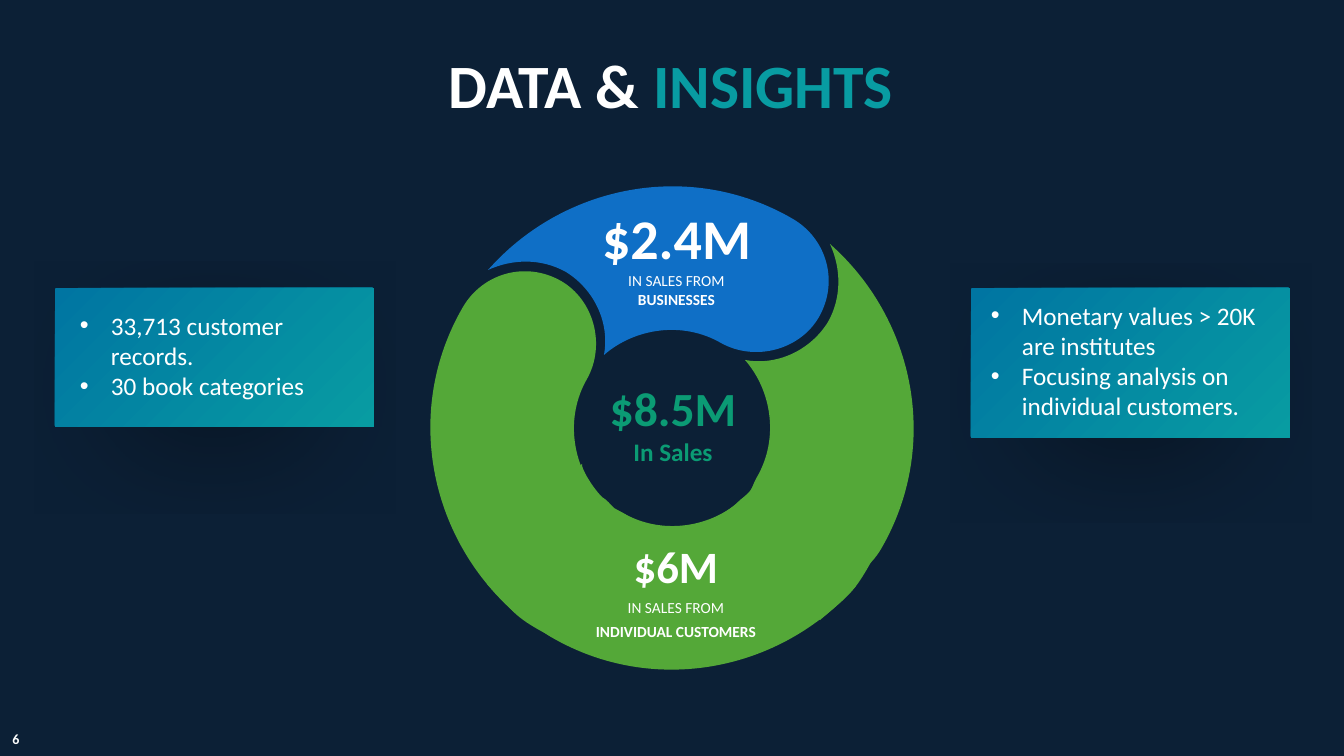
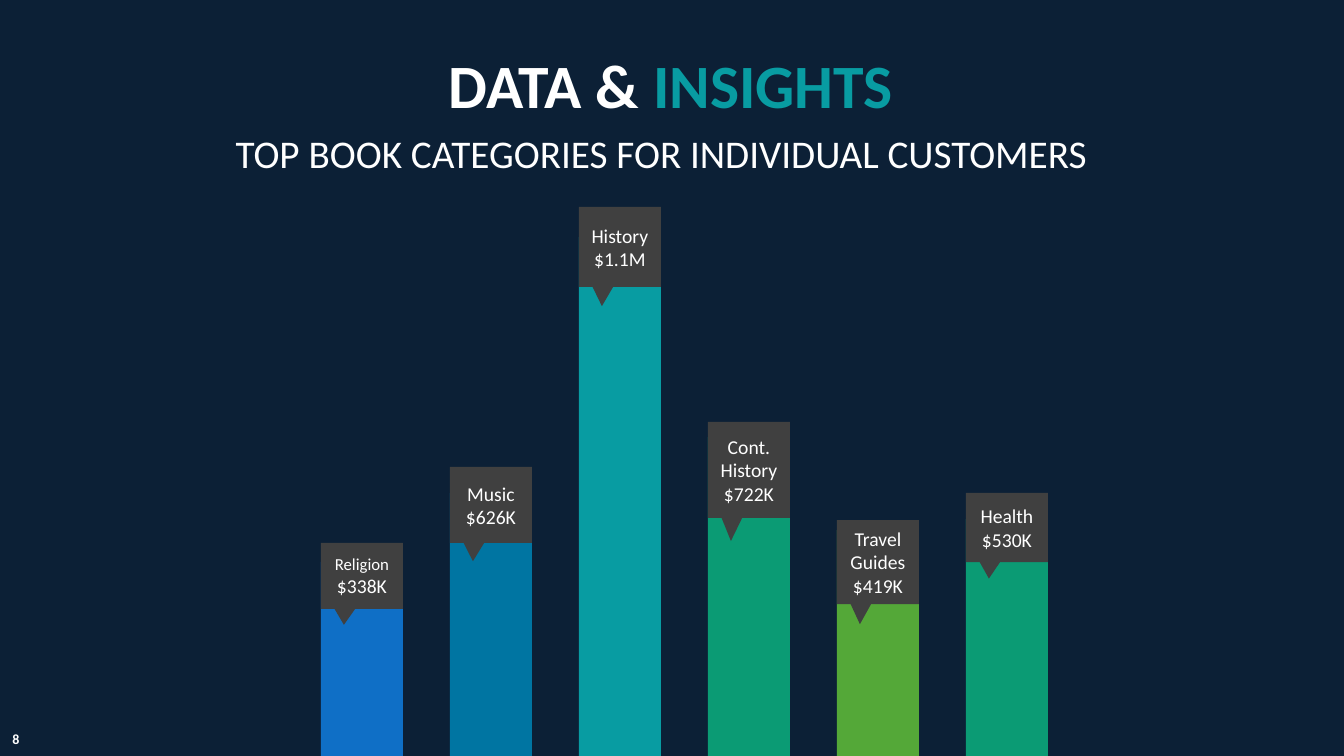
from math import cos, radians, sin

from lxml.etree import SubElement
from pptx import Presentation
from pptx.dml.color import RGBColor
from pptx.enum.shapes import MSO_SHAPE as Shape
from pptx.enum.text import PP_ALIGN as Align
from pptx.oxml.ns import qn
from pptx.util import Pt

PX = 9071  # EMU per px
WIDTH, HEIGHT = 1344, 756
FONT = "Calibri"
NAVY, WHITE, GRAY = "0C2036", "FFFFFF", "404040"
BLUE, OCEAN, TEAL, EMERALD, GREEN = "0F6FC6", "0075A2", "089CA2", "0B9B74", "54A838"
rgb = RGBColor.from_string


def write_text(shape, paragraphs, spacing=None, bullet=False, margin=10):
    """Fill a shape with paragraphs, each a list of (text, size, colour, bold) runs."""
    frame = shape.text_frame
    frame.word_wrap = True
    frame.margin_left = frame.margin_right = margin * PX
    frame.margin_top = frame.margin_bottom = 5 * PX
    for index, runs in enumerate(paragraphs):
        paragraph = frame.add_paragraph() if index else frame.paragraphs[0]
        paragraph.alignment = Align.LEFT if bullet else Align.CENTER
        if spacing:
            paragraph.line_spacing = spacing
        if bullet:
            properties = paragraph._p.get_or_add_pPr()
            properties.set("marL", str(31 * PX))
            properties.set("indent", str(-31 * PX))
            SubElement(properties, qn("a:buFont"), typeface="Arial")
            SubElement(properties, qn("a:buChar"), char="•")
        for text, size, color, bold in runs:
            run = paragraph.add_run()
            run.text = text
            run.font.name = FONT
            run.font.size = Pt(size)
            run.font.bold = bold
            run.font.color.rgb = rgb(color)


def draw_outline(slide, center, size, angle, segments, color):
    """Draw a turned, closed outline; segments hold one point (line) or three (curve)."""
    width, height = (value * PX for value in size)
    builder = slide.shapes.build_freeform(0, 0)
    builder.add_line_segments([(width, height)], close=True)
    shape = builder.convert_to_shape()
    outline = shape._element.spPr.find(".//" + qn("a:path"))
    outline.set("w", str(width))
    outline.set("h", str(height))
    for child in list(outline):
        outline.remove(child)
    cosine, sine = cos(radians(angle)), sin(radians(angle))
    for index, segment in enumerate(segments):
        tag = "a:cubicBezTo" if len(segment) == 3 else "a:lnTo" if index else "a:moveTo"
        command = SubElement(outline, qn(tag))
        for x, y in segment:
            dx, dy = (x - center[0]) * PX, (y - center[1]) * PX
            SubElement(command, qn("a:pt"),
                       x=str(round(width / 2 + dx * cosine + dy * sine)),
                       y=str(round(height / 2 - dx * sine + dy * cosine)))
    SubElement(outline, qn("a:close"))
    shape.left, shape.top = center[0] * PX - width // 2, center[1] * PX - height // 2
    shape.width, shape.height = width, height
    shape.rotation = angle
    shape.shadow.inherit = False
    shape.fill.solid()
    shape.fill.fore_color.rgb = rgb(color)
    shape.line.fill.background()


presentation = Presentation()
presentation.slide_width = WIDTH * PX
presentation.slide_height = HEIGHT * PX

# Shared background, title and slide number
slides = []
for number in ("6", "8"):
    slide = presentation.slides.add_slide(presentation.slide_layouts[6])
    slide.background.fill.solid()
    slide.background.fill.fore_color.rgb = rgb(NAVY)
    title = slide.shapes.add_textbox(56 * PX, 50 * PX, 1230 * PX, 73 * PX)
    write_text(title, [[("DATA & ", 44, WHITE, True), ("INSIGHTS", 44, TEAL, True)]], 0.9)
    page = slide.shapes.add_textbox(6 * PX, 726 * PX, 20 * PX, 27 * PX)
    write_text(page, [[(number, 10, WHITE, True)]], margin=0)
    slides.append(slide)
sales_slide, category_slide = slides

# Patches that join the green petals
draw_outline(sales_slide, (788, 544), (94, 157), 310, [
    [(705, 521)],
    [(708, 522), (728, 512), (738, 502)],
    [(742, 498), (747, 495), (750, 491)],
    [(763, 470)],
    [(875, 555)],
    [(855, 591), (853, 592), (820, 620)],
    [(802, 605), (778, 597), (760, 582)],
    [(705, 521)],
], GREEN)
draw_outline(sales_slide, (562, 549), (94, 159), 38, [
    [(582, 464)],
    [(581, 468), (592, 487), (602, 497)],
    [(607, 500), (610, 504), (614, 508)],
    [(635, 520)],
    [(552, 637)],
    [(516, 618), (516, 615), (487, 584)],
    [(499, 566), (507, 541), (521, 522)],
    [(582, 464)],
], GREEN)

# Sales ring: one petal, moved about the centre by quarter turns
RING_X, RING_Y = 672, 428
PETAL_CENTER, PETAL_SIZE = (4, 159), (310, 213)
PETAL = [
    [(-49, 85)],
    [(-83, 66), (-128, 78), (-147, 111)],
    [(-167, 146), (-155, 189), (-121, 209)],
    [(-18, 269), (109, 243), (184, 158)],
    [(160, 169), (131, 170), (106, 156)],
    [(77, 138), (62, 104), (68, 73)],
    [(37, 100), (-11, 107), (-49, 85)],
]
for color, cosine, sine in ((GREEN, 1, 0), (BLUE, -1, 0), (GREEN, 0, -1), (GREEN, 0, 1)):
    (center,), *segments = [
        [(RING_X + x * cosine - y * sine, RING_Y + x * sine + y * cosine)
         for x, y in segment]
        for segment in ([PETAL_CENTER], *PETAL)
    ]
    size = PETAL_SIZE[::-1] if sine else PETAL_SIZE
    draw_outline(sales_slide, center, size, 30, segments, color)

# Ring labels
for box, spacing, lines in (
    ((585, 199, 183, 115), None, [("$2.4M", 40, WHITE, True),
                                  ("IN SALES FROM", 11, WHITE, False),
                                  ("BUSINESSES", 11, WHITE, True)]),
    ((570, 518, 212, 129), 1.3, [("$6M", 32, WHITE, True),
                                 ("IN SALES FROM", 11, WHITE, False),
                                 ("INDIVIDUAL CUSTOMERS", 11, WHITE, True)]),
    ((599, 374, 148, 99), None, [("$8.5M", 34, EMERALD, True),
                                 ("In Sales", 18, EMERALD, True)]),
):
    label = sales_slide.shapes.add_textbox(*(value * PX for value in box))
    write_text(label, [[line] for line in lines], spacing)

# Gradient cards with bullets
for card_box, text_box, lines in (
    ((55, 288, 319, 139), (70, 305, 294, 102),
     ("33,713 customer records.", "30 book categories")),
    ((971, 288, 319, 150), (981, 295, 294, 132),
     ("Monetary values > 20K are institutes", "Focusing analysis on individual customers.")),
):
    card = sales_slide.shapes.add_shape(Shape.ROUNDED_RECTANGLE,
                                        *(value * PX for value in card_box))
    card.adjustments[0] = 0.01
    card.line.fill.background()
    card.fill.gradient()
    card.fill.gradient_angle = 315
    for stop, color in zip(card.fill.gradient_stops, (OCEAN, TEAL)):
        stop.color.rgb = rgb(color)
    card.shadow.inherit = False
    effects = card._element.spPr.find(qn("a:effectLst"))
    shadow = SubElement(effects, qn("a:outerShdw"), blurRad=str(Pt(100)), dist=str(Pt(21)),
                        dir="5400000", sx="60000", sy="60000", algn="ctr", rotWithShape="0")
    shadow_color = SubElement(shadow, qn("a:srgbClr"), val="000000")
    SubElement(shadow_color, qn("a:alpha"), val="55000")
    bullets = sales_slide.shapes.add_textbox(*(value * PX for value in text_box))
    write_text(bullets, [[(line, 18, WHITE, False)] for line in lines], bullet=True)

# Category bars
BAR_LEFT, BAR_STEP, BAR_WIDTH = 321, 129, 82
bars = [
    (BLUE, 562, 543, 66, 12, ("Religion", "$338K")),
    (OCEAN, 493, 467, 76, 14, ("Music", "$626K")),
    (TEAL, 237, 207, 80, 14, ("History", "$1.1M")),
    (EMERALD, 437, 422, 96, 14, ("Cont. History", "$722K")),
    (GREEN, 530, 520, 84, 14, ("Travel", "Guides", "$419K")),
    (EMERALD, 519, 493, 69, 14, ("Health", "$530K")),
]
for kind in (Shape.RECTANGLE, Shape.RECTANGULAR_CALLOUT):
    for index, (color, top, callout_top, callout_height, name_size, lines) in enumerate(bars):
        is_bar = kind == Shape.RECTANGLE
        height = HEIGHT - top if is_bar else callout_height
        shape = category_slide.shapes.add_shape(
            kind, (BAR_LEFT + index * BAR_STEP) * PX, (top if is_bar else callout_top) * PX,
            BAR_WIDTH * PX, height * PX)
        shape.shadow.inherit = False
        shape.fill.solid()
        shape.fill.fore_color.rgb = rgb(color if is_bar else GRAY)
        shape.line.fill.background()
        if not is_bar:
            shape.adjustments[0] = -0.22
            shape.adjustments[1] = 0.74
            sizes = [name_size] + [14] * (len(lines) - 1)
            write_text(shape, [[(line, size, WHITE, False)]
                               for line, size in zip(lines, sizes)])

# Category subtitle
subtitle = category_slide.shapes.add_textbox(46 * PX, 130 * PX, 1230 * PX, 73 * PX)
write_text(subtitle,
           [[("TOP BOOK CATEGORIES FOR INDIVIDUAL CUSTOMERS", 28, WHITE, False)]], 0.9)

presentation.save("out.pptx")
